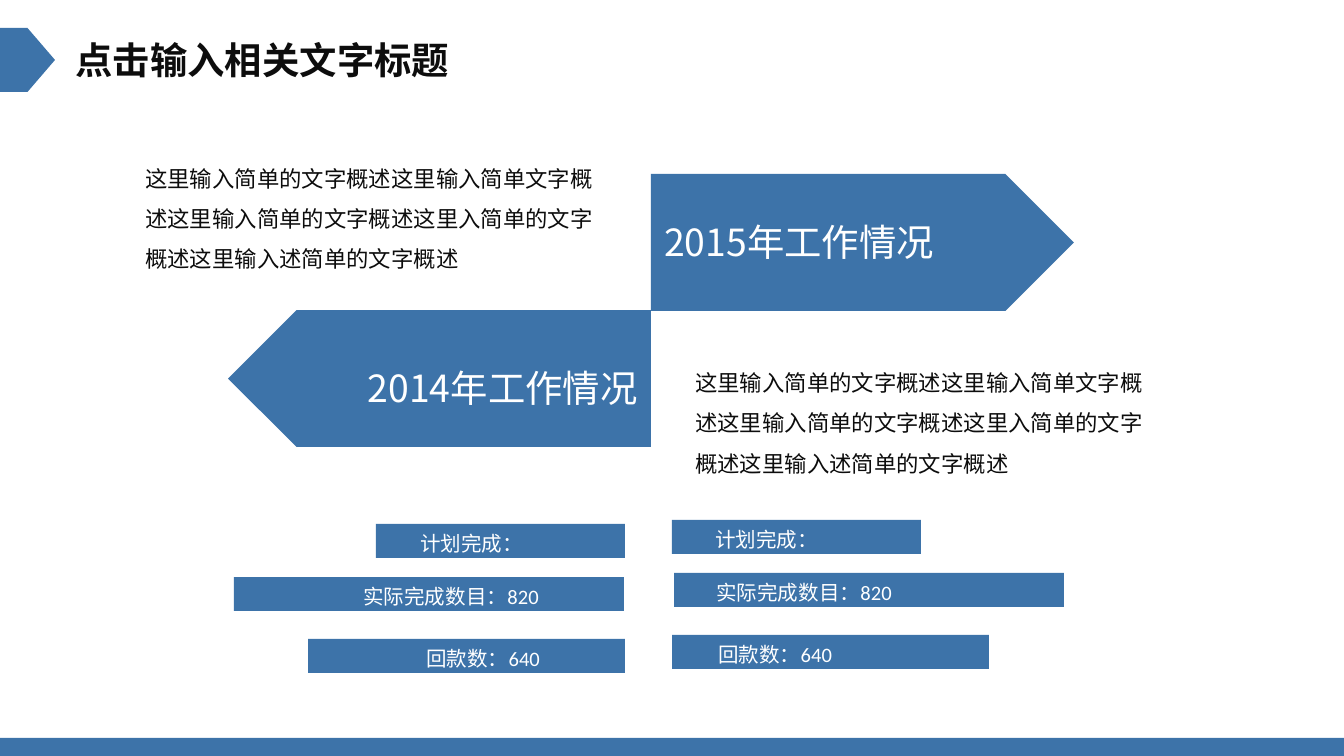
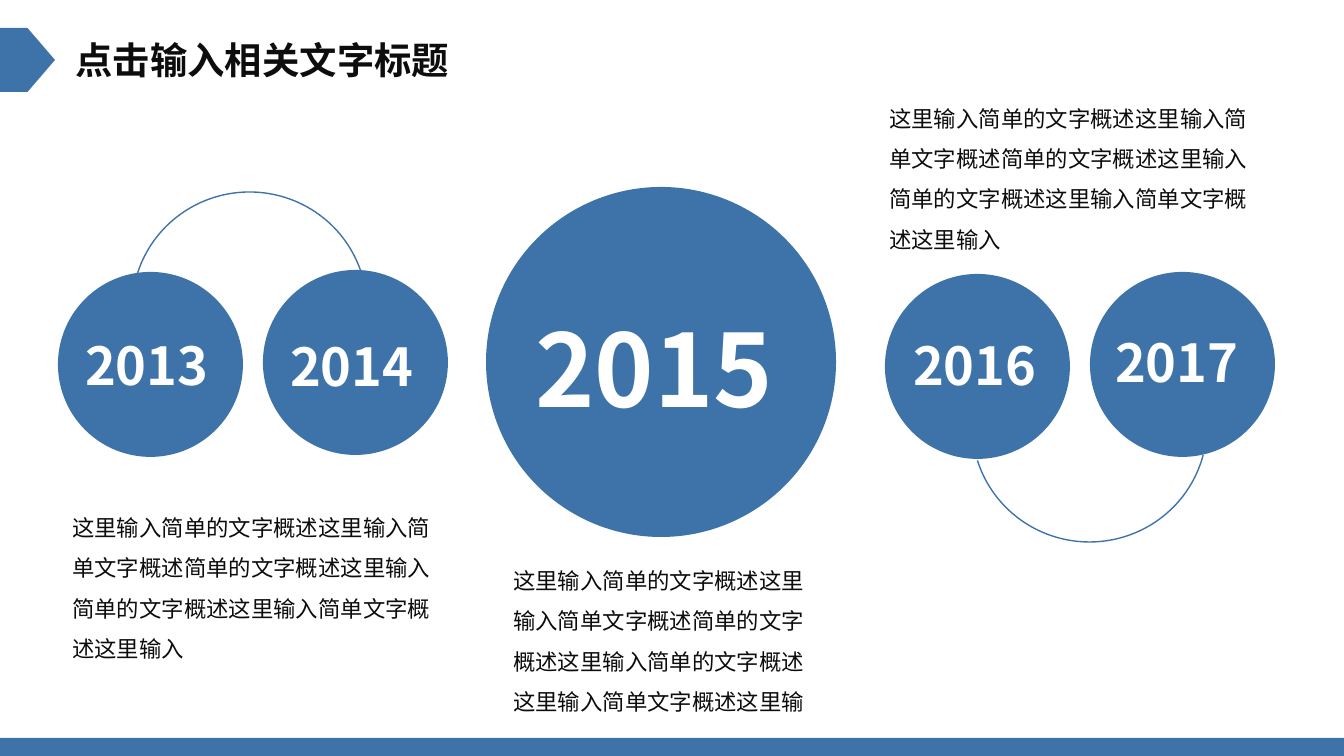
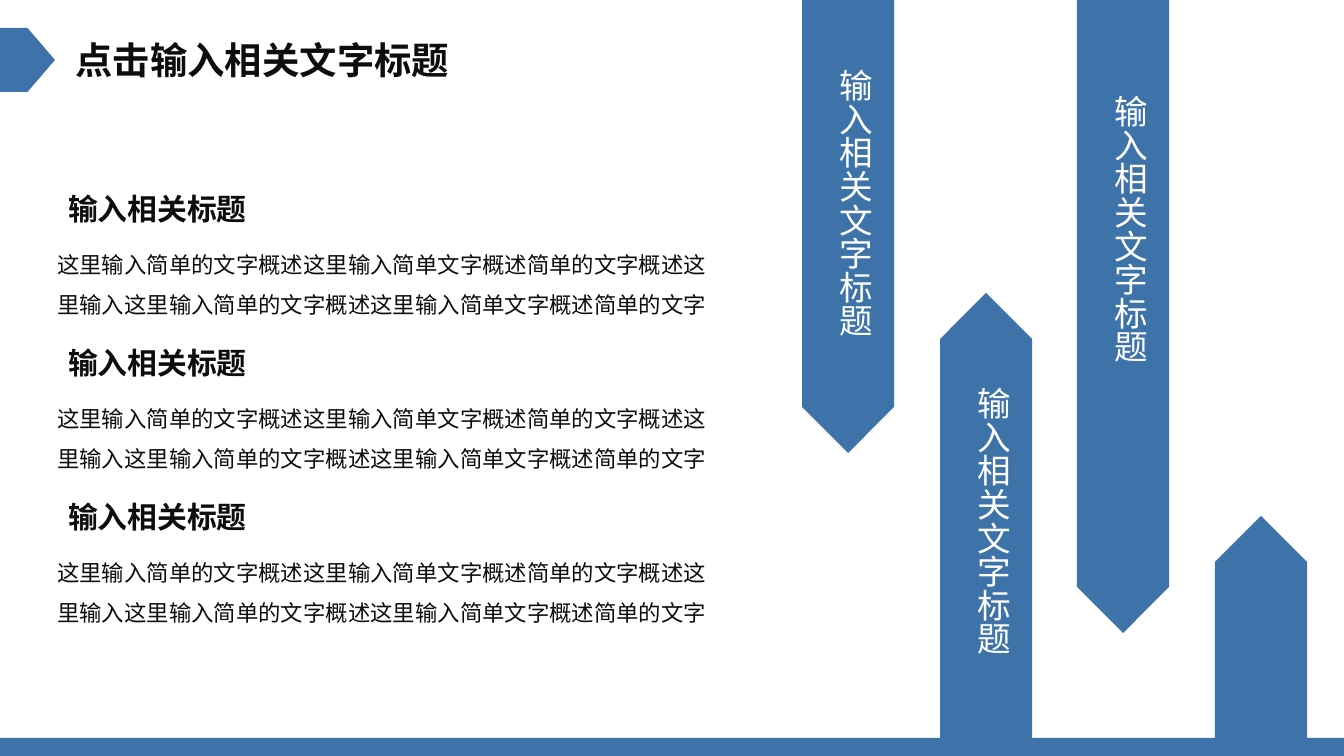
from lxml.etree import SubElement
from pptx import Presentation
from pptx.dml.color import RGBColor
from pptx.enum.shapes import MSO_SHAPE
from pptx.enum.text import MSO_ANCHOR, MSO_AUTO_SIZE, PP_ALIGN
from pptx.oxml.ns import qn
from pptx.util import Emu, Pt

PIXEL = 914400 / 134.4
BLUE = "3D73A9"
INK = "0D0D0D"
WHITE = "FFFFFF"
HEADING_FONT = "Noto Sans CJK SC"
BODY_FONT = "Calibri"
TITLE = "点击输入相关文字标题"

OVERVIEW_LINES = [
    "这里输入简单的文字概述这里输入简单文字概",
    "述这里输入简单的文字概述这里入简单的文字",
    "概述这里输入述简单的文字概述",
]
YEAR_NOTE = (
    "这里输入简单的文字概述这里输入简单文字概述简单的文字概述"
    "这里输入简单的文字概述这里输入简单文字概述这里输"
)
SECTION_NOTE = (
    "这里输入简单的文字概述这里输入简单文字概述简单的文字概述这里输入"
    "这里输入简单的文字概述这里输入简单文字概述简单的文字"
)


def px(length):
    return Emu(round(length * PIXEL))


def color(value):
    return RGBColor.from_string(value)


def fill_with(shape, value):
    shape.fill.solid()
    shape.fill.fore_color.rgb = color(value)


def set_font(paragraph, size, name, value, bold):
    font = paragraph.font
    font.size = Pt(size)
    font.bold = bold
    font.color.rgb = color(value)
    font.name = name
    east_asian = SubElement(font._element, qn("a:ea"))
    east_asian.set("typeface", HEADING_FONT)


def write(frame, lines, size, name=BODY_FONT, value=INK, bold=False,
          align=PP_ALIGN.LEFT, spacing=None, wrap=True):
    frame.word_wrap = wrap
    frame.auto_size = MSO_AUTO_SIZE.SHAPE_TO_FIT_TEXT
    frame.vertical_anchor = MSO_ANCHOR.TOP
    for index, line in enumerate(lines):
        paragraph = frame.add_paragraph() if index else frame.paragraphs[0]
        paragraph.text = line
        paragraph.alignment = align
        if spacing:
            paragraph.line_spacing = spacing
        set_font(paragraph, size, name, value, bold)


def add_text(page, left, top, width, height, lines, size, **style):
    box = page.shapes.add_textbox(px(left), px(top), px(width), px(height))
    write(box.text_frame, lines, size, **style)
    return box


def add_note(page, left, top, width, height, lines):
    add_text(page, left, top, width, height, lines, 12, spacing=1.5)


def add_block(page, kind, left, top, width, height):
    block = page.shapes.add_shape(kind, px(left), px(top), px(width), px(height))
    block.shadow.inherit = False
    fill_with(block, BLUE)
    block.line.fill.background()
    return block


def add_vertical_arrow(page, left, top, length, rotation):
    width = 92
    arrow = add_block(page, MSO_SHAPE.PENTAGON, left + (width - length) / 2,
                      top + (length - width) / 2, length, width)
    arrow.rotation = rotation


def add_vertical_label(page, left, top, label):
    box = add_text(page, left, top, 67, 285, [label], 18, value=WHITE, wrap=False)
    fill_with(box, BLUE)
    box.text_frame._txBody.bodyPr.set("vert", "eaVert")


def add_arc(page, left, top, start, end):
    arc = page.shapes.add_shape(MSO_SHAPE.ARC, px(left), px(top), px(235), px(233))
    arc.shadow.inherit = False
    arc.fill.background()
    arc.line.color.rgb = color(BLUE)
    arc.line.width = Pt(0.75)
    for index, degrees in enumerate((start, end)):
        arc.adjustments[index] = degrees * 0.6


def add_page(deck):
    page = deck.slides.add_slide(deck.slide_layouts[5])
    add_block(page, MSO_SHAPE.RECTANGLE, 0, 738, 1344, 18)
    add_block(page, MSO_SHAPE.PENTAGON, 0, 28, 55, 64)
    title = page.shapes.title
    title.left, title.top, title.width, title.height = map(px, (62, 30, 405, 59))
    write(title.text_frame, [TITLE], 20, name=HEADING_FONT, bold=True, wrap=False)
    return page


def build_comparison(deck):
    page = add_page(deck)
    add_block(page, MSO_SHAPE.PENTAGON, 651, 174, 423, 137)
    add_block(page, MSO_SHAPE.PENTAGON, 228, 310, 423, 137).rotation = 180
    for year, left, top, align in (
        (2014, 291, 359, PP_ALIGN.RIGHT),
        (2015, 651, 213, PP_ALIGN.LEFT),
    ):
        add_text(page, left, top, 360, 59, [f"{year}年工作情况"], 20,
                 name=HEADING_FONT, value=WHITE, align=align)
    for left, top in ((132, 145), (682, 349)):
        add_note(page, left, top, 476, 136, OVERVIEW_LINES)

    figures = (
        ("计划完成：", 520, 249, 176, (376, 407), (672, 702)),
        ("实际完成数目：820", 573, 390, 230, (234, 350), (674, 703)),
        ("回款数：640", 635, 317, 168, (308, 413), (672, 705)),
    )
    for label, top, bar_width, label_width, *sides in figures:
        for (bar_left, label_left), shift in zip(sides, (4, 0)):
            add_block(page, MSO_SHAPE.RECTANGLE, bar_left, top + shift, bar_width, 34)
            add_text(page, label_left, top + shift, label_width, 39, [label], 11,
                     value=WHITE)


def build_timeline(deck):
    page = add_page(deck)
    add_arc(page, 132, 192, 197.3, 341.4)
    years = (
        ("2013", 58, 272, 185, (72, 327, 157, 77), 28),
        ("2014", 263, 270, 185, (277, 328, 157, 77), 28),
        ("2015", 486, 187, 350, (522, 300, 278, 136), 54),
        ("2016", 885, 274, 185, (900, 327, 157, 77), 28),
        ("2017", 1090, 272, 185, (1102, 324, 157, 77), 28),
    )
    for year, left, top, diameter, label_area, size in years:
        add_block(page, MSO_SHAPE.OVAL, left, top, diameter, diameter)
        add_text(page, *label_area, [year], size, name=HEADING_FONT,
                 value=WHITE, bold=True, wrap=False)
    add_arc(page, 972, 309, 14.5, 162.7)
    add_note(page, 59, 494, 401, 176, [YEAR_NOTE + "入"])
    add_note(page, 500, 547, 336, 176, [YEAR_NOTE])
    add_note(page, 876, 85, 401, 176, [YEAR_NOTE + "入"])


def build_sections(deck):
    page = add_page(deck)
    for index in range(3):
        offset = index * 154
        add_note(page, 44, 231 + offset, 680, 95, [SECTION_NOTE])
        add_text(page, 55, 184 + offset, 297, 50, ["输入相关标题"], 16,
                 name=HEADING_FONT, bold=True)
    arrows = (
        (802, 0, 453, 90, 56),
        (940, 293, 445, 270, 374),
        (1077, 0, 633, 90, 82),
        (1215, 516, 222, 270, None),
    )
    for left, top, length, rotation, label_top in arrows:
        add_vertical_arrow(page, left, top, length, rotation)
        if label_top is not None:
            add_vertical_label(page, left + 13, label_top, "输入相关文字标题")


def main():
    deck = Presentation()
    deck.slide_width, deck.slide_height = px(1344), px(756)
    build_comparison(deck)
    build_timeline(deck)
    build_sections(deck)
    deck.save("out.pptx")


if __name__ == "__main__":
    main()
